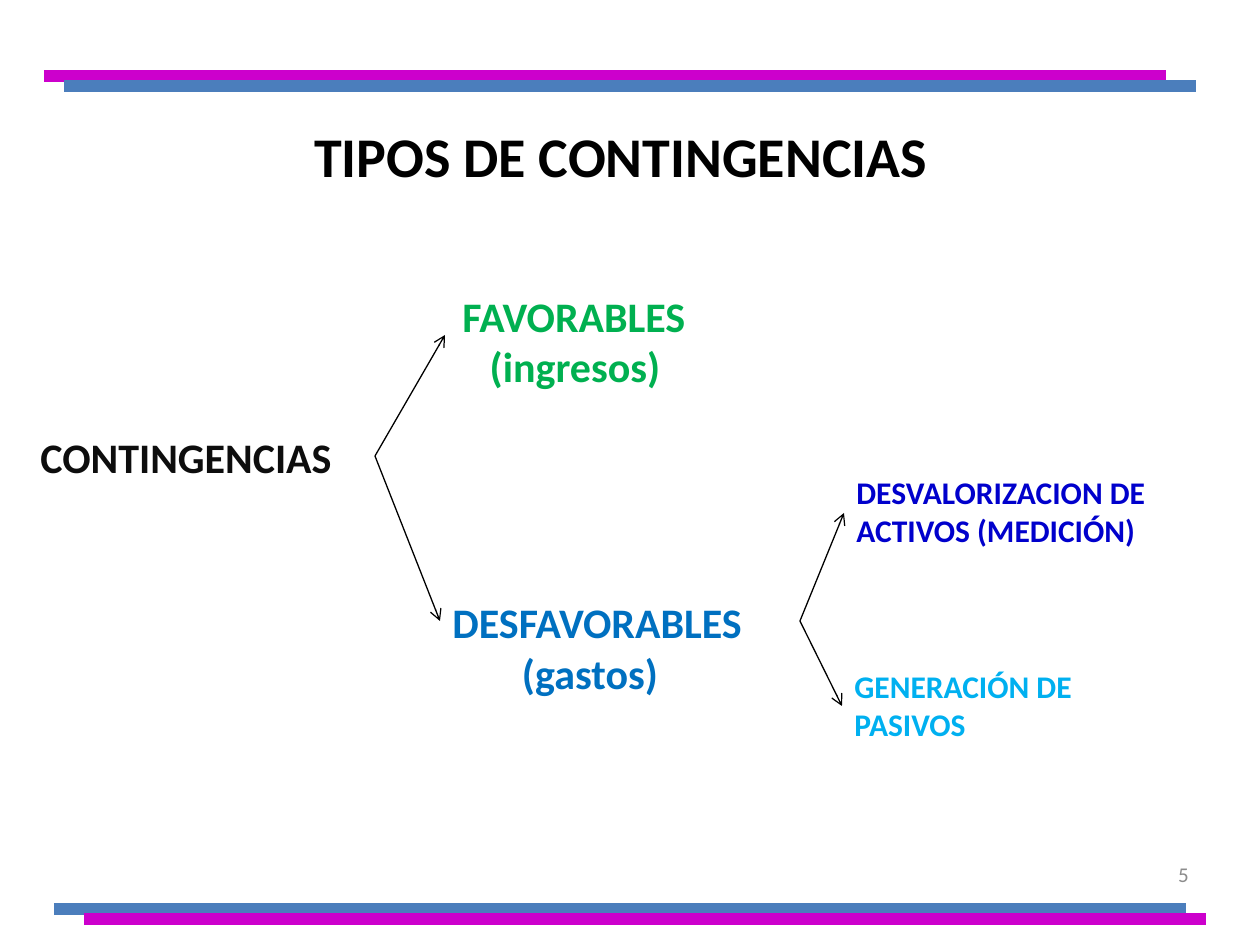
import pptx
import pptx.util
import pptx.dml.color
import pptx.enum.shapes
import pptx.enum.text
import pptx.oxml
import pptx.oxml.ns

SCALE = pptx.util.Inches(1) / 126
FONT = "Calibri"
ALIGN = pptx.enum.text.PP_ALIGN
COLORS = {
    "blue bar": "4B7EBC",
    "magenta bar": "CC00CC",
    "black": "000000",
    "root": "0D0D0D",
    "page number": "8C8C8C",
    "favorable": "00B050",
    "unfavorable": "0070C0",
    "impairment": "0000CC",
    "liabilities": "00B0F0",
}


def write_text(shape, box, text, size, color, bold=True, align=ALIGN.LEFT,
               anchor=pptx.enum.text.MSO_ANCHOR.TOP):
    """Place the shape at box (left, top, width, height in px) and fill in one run."""
    shape.left, shape.top, shape.width, shape.height = (round(n * SCALE) for n in box)
    frame = shape.text_frame
    frame.word_wrap = True
    frame.vertical_anchor = anchor
    paragraph = frame.paragraphs[0]
    paragraph.alignment = align
    run = paragraph.add_run()
    run.text = text
    run.font.name = FONT
    run.font.size = pptx.util.Pt(size)
    run.font.bold = bold
    run.font.color.rgb = pptx.dml.color.RGBColor.from_string(COLORS[color])


def draw_line(start, end, color, width, arrow=False):
    connector = slide.shapes.add_connector(
        pptx.enum.shapes.MSO_CONNECTOR.STRAIGHT,
        *(round(n * SCALE) for n in start + end))
    connector.line.color.rgb = pptx.dml.color.RGBColor.from_string(COLORS[color])
    connector.line.width = pptx.util.Pt(width)
    if arrow:
        tail = pptx.oxml.parse_xml(
            f'<a:tailEnd {pptx.oxml.ns.nsdecls("a")} type="arrow"/>')
        connector.line._get_or_add_ln().append(tail)
    effects = pptx.oxml.parse_xml(f'<a:effectLst {pptx.oxml.ns.nsdecls("a")}/>')
    connector._element.spPr.append(effects)


presentation = pptx.Presentation()
presentation.slide_width = round(1260 * SCALE)
presentation.slide_height = round(945 * SCALE)
slide = presentation.slides.add_slide(presentation.slide_layouts[5])

# Header and footer bars
for left, right, y, color in [
    (54, 1186, 909, "blue bar"),
    (84, 1206, 919, "magenta bar"),
    (44, 1166, 76, "magenta bar"),
    (64, 1196, 86, "blue bar"),
]:
    draw_line((left, y), (right, y), color, 6.75)

middle = pptx.enum.text.MSO_ANCHOR.MIDDLE
write_text(slide.shapes.title, (54, 76, 1134, 158), "TIPOS DE CONTINGENCIAS", 32,
           "black", align=ALIGN.CENTER, anchor=middle)
write_text(slide.shapes.add_textbox(0, 0, 0, 0), (907, 849, 294, 50), "5", 12,
           "page number", bold=False, align=ALIGN.RIGHT, anchor=middle)

# Branches of the tree
for box, text, size, color, align in [
    ((28, 425, 348, 63), "CONTINGENCIAS", 24, "root", ALIGN.LEFT),
    ((450, 284, 359, 63), "FAVORABLES", 24, "favorable", ALIGN.LEFT),
    ((471, 334, 208, 63), "(ingresos)", 24, "favorable", ALIGN.CENTER),
    ((440, 590, 359, 63), "DESFAVORABLES", 24, "unfavorable", ALIGN.LEFT),
    ((471, 641, 238, 63), "(gastos)", 24, "unfavorable", ALIGN.CENTER),
    ((844, 467, 344, 89), "DESVALORIZACION DE ACTIVOS (MEDICIÓN)", 18,
     "impairment", ALIGN.LEFT),
    ((842, 661, 359, 89), "GENERACIÓN DE PASIVOS", 18, "liabilities", ALIGN.LEFT),
]:
    write_text(slide.shapes.add_textbox(0, 0, 0, 0), box, text, size, color, align=align)

# Each fork sends one arrow to each of its branches
for fork, branches in [
    ((375, 456), [(445, 335), (440, 621)]),
    ((800, 621), [(844, 513), (842, 706)]),
]:
    for branch in branches:
        draw_line(fork, branch, "black", 0.75, arrow=True)

presentation.save("out.pptx")
